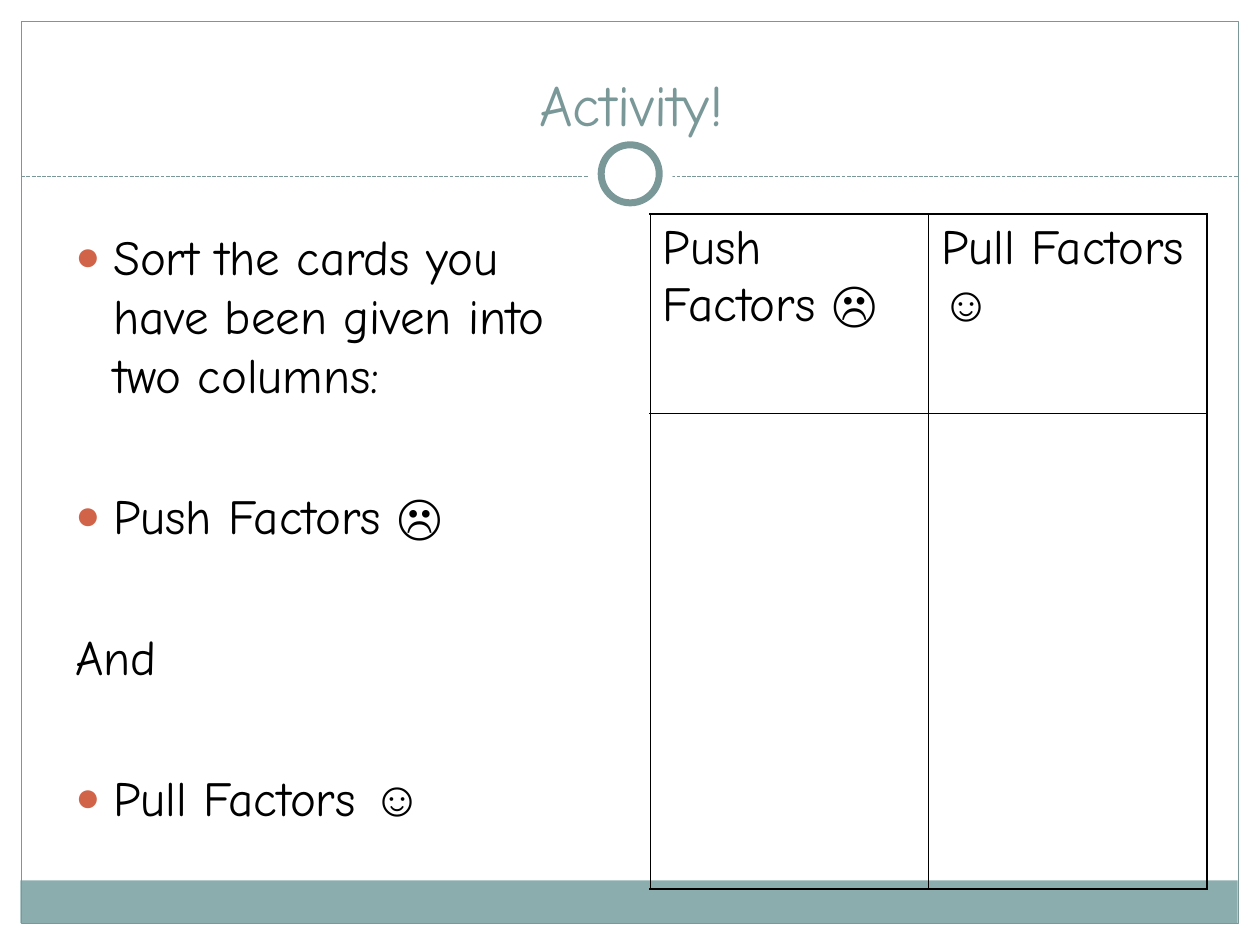
from lxml import etree
from pptx import Presentation
from pptx.dml.color import RGBColor
from pptx.enum import dml, shapes, text
from pptx.oxml import parse_xml
from pptx.oxml.ns import nsdecls, qn
from pptx.util import Cm, Pt

TEAL = RGBColor(0x7B, 0x98, 0x99)
BAND = RGBColor(0x8C, 0xAD, 0xAE)
WHITE = RGBColor(0xFF, 0xFF, 0xFF)
BLACK = RGBColor(0, 0, 0)
BULLET = RGBColor(0xD1, 0x63, 0x49)
FONT, SYMBOL_FONT = "Comic Neue", "Arial"


def add_shape(kind, left, top, width, height, fill=None, line_width=None):
    sp = s.shapes.add_shape(kind, Cm(left), Cm(top), Cm(width), Cm(height))
    sp.shadow.inherit = False
    if fill is None:
        sp.fill.background()
    else:
        sp.fill.solid()
        sp.fill.fore_color.rgb = fill
    if line_width is None:
        sp.line.fill.background()
    else:
        sp.line.color.rgb = TEAL
        sp.line.width = Pt(line_width)


def add_runs(p, words, symbol="", size=28, color=BLACK):
    for content, font in ((words, FONT), (symbol, SYMBOL_FONT)):
        if content:
            r = p.add_run()
            r.text = content
            r.font.name = font
            r.font.size = Pt(size)
            r.font.color.rgb = color


prs = Presentation()
prs.slide_width, prs.slide_height = Cm(25.4), Cm(19.05)
s = prs.slides.add_slide(prs.slide_layouts[5])

# Frame: bottom band, outline, dashed rule and ring
RECT, OVAL = shapes.MSO_SHAPE.RECTANGLE, shapes.MSO_SHAPE.OVAL
add_shape(RECT, 0.41, 17.75, 24.54, 0.86, fill=BAND)
add_shape(RECT, 0.43, 0.43, 24.54, 18.19, line_width=0.75)
rule = s.shapes.add_connector(shapes.MSO_CONNECTOR.STRAIGHT,
                              Cm(0.43), Cm(3.56), Cm(24.97), Cm(3.56))
rule.line.color.rgb = TEAL
rule.line.width = Pt(0.75)
rule.line.dash_style = dml.MSO_LINE.SQUARE_DOT
etree.SubElement(rule._element.spPr, qn("a:effectLst"))
add_shape(OVAL, 11.86, 2.67, 1.7, 1.7, fill=WHITE)
add_shape(OVAL, 12.12, 2.92, 1.17, 1.17, fill=WHITE, line_width=4)

# Title, brought in front of the frame
title = s.shapes.title
title.left, title.top, title.width, title.height = Cm(1.3), Cm(0.91), Cm(22.86), Cm(2.01)
tf = title.text_frame
tf.auto_size = text.MSO_AUTO_SIZE.NONE
tf.vertical_anchor = text.MSO_ANCHOR.BOTTOM
p = tf.paragraphs[0]
p.alignment = text.PP_ALIGN.CENTER
add_runs(p, "Activity!", size=33, color=TEAL)
s.shapes._spTree.append(title._element)

# Instructions
body = s.shapes.add_textbox(Cm(1.27), Cm(4.45), Cm(11.23), Cm(12.57))
tf = body.text_frame
tf.word_wrap = True
instructions = [
    ("Sort the cards you have been given into two columns:", "", True),
    ("Push Factors ", "☹", True),
    ("And", "", False),
    ("Pull Factors ", "☺", True),
]
for i, (words, symbol, bulleted) in enumerate(instructions):
    p = tf.paragraphs[0] if i == 0 else tf.add_paragraph()
    if i:
        p.space_before = Pt(47)
    if bulleted:
        pPr = p._p.get_or_add_pPr()
        pPr.set("marL", str(Cm(0.76)))
        pPr.set("indent", str(-Cm(0.76)))
        for xml in (f'<a:buClr {nsdecls("a")}><a:srgbClr val="{BULLET}"/></a:buClr>',
                    f'<a:buSzPct {nsdecls("a")} val="85000"/>',
                    f'<a:buFont {nsdecls("a")} typeface="{SYMBOL_FONT}"/>',
                    f'<a:buChar {nsdecls("a")} char="●"/>'):
            pPr.append(parse_xml(xml))
    add_runs(p, words, symbol)

# Sorting table: thick outer border, thin inner lines
table = s.shapes.add_table(2, 2, Cm(13.11), Cm(4.32), Cm(11.22), Cm(13.6)).table
table.first_row = table.horz_banding = False
for column in table.columns:
    column.width = Cm(5.61)
for row, height in zip(table.rows, (4.01, 9.59)):
    row.height = Cm(height)
headers = [("Push Factors ", "☹"), ("Pull Factors ", "☺")]
for row in range(2):
    for col in range(2):
        cell = table.cell(row, col)
        if row == 0:
            add_runs(cell.text_frame.paragraphs[0], *headers[col])
        outer = {"lnL": col == 0, "lnR": col == 1, "lnT": row == 0, "lnB": row == 1}
        tcPr = cell._tc.get_or_add_tcPr()
        for side, is_outer in outer.items():
            width = Pt(1.08 if is_outer else 0.45)
            tcPr.append(parse_xml(
                f'<a:{side} {nsdecls("a")} w="{width}"><a:solidFill>'
                f'<a:srgbClr val="{BLACK}"/></a:solidFill></a:{side}>'))
        cell.fill.background()

prs.save("out.pptx")
